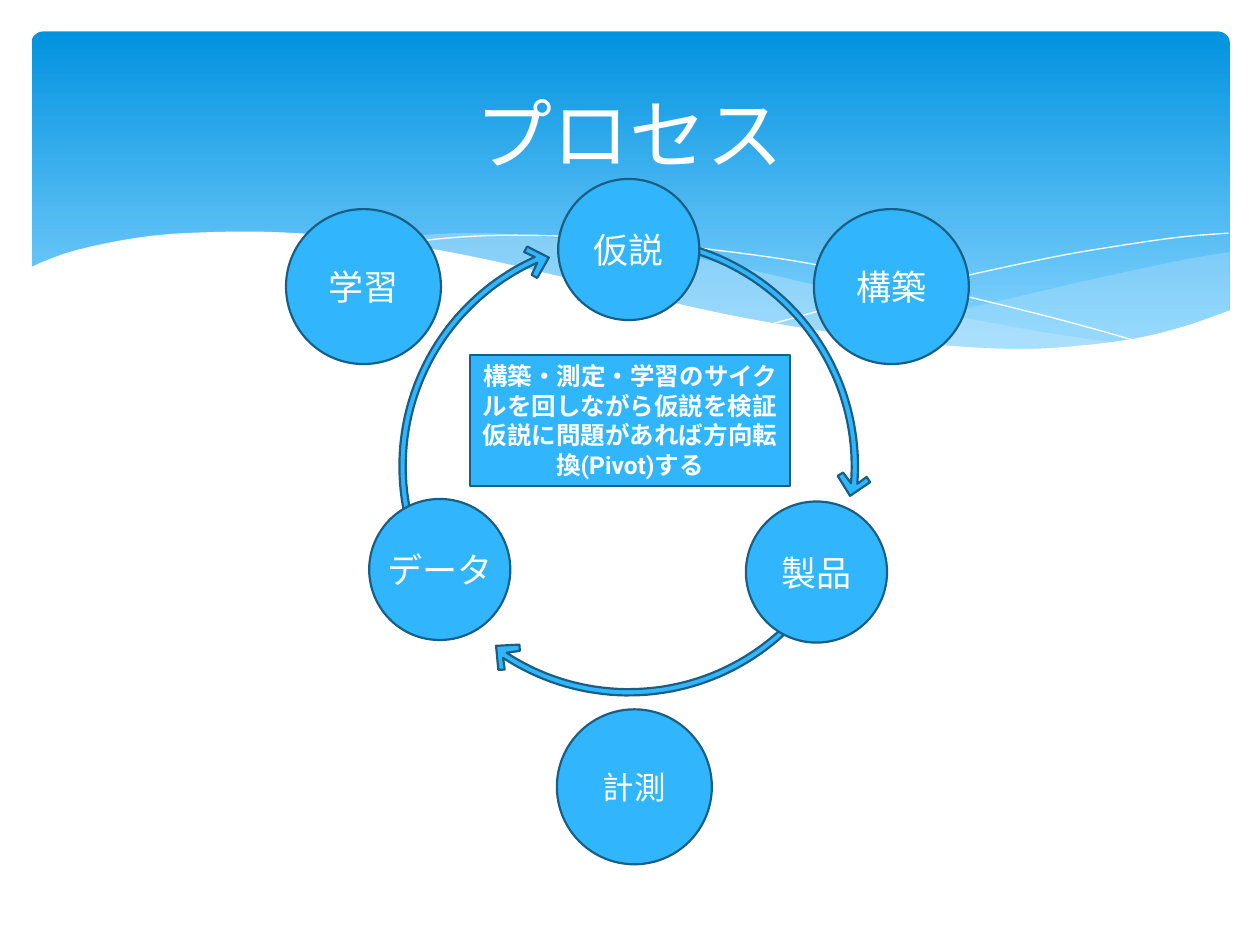
from math import cos, radians, sin

from lxml import etree
from pptx import Presentation
from pptx.dml.color import RGBColor
from pptx.enum.shapes import MSO_SHAPE
from pptx.enum.text import MSO_ANCHOR, MSO_AUTO_SIZE, PP_ALIGN
from pptx.oxml.ns import qn
from pptx.util import Inches, Pt

CENTER = PP_ALIGN.CENTER
MIDDLE = MSO_ANCHOR.MIDDLE
FIT_SHAPE = MSO_AUTO_SIZE.SHAPE_TO_FIT_TEXT
OVAL, RECTANGLE, ROUNDED = MSO_SHAPE.OVAL, MSO_SHAPE.RECTANGLE, MSO_SHAPE.ROUNDED_RECTANGLE
COLORS = {
    name: RGBColor.from_string(value)
    for name, value in {
        "white": "FFFFFF", "sky_top": "0293E0", "sky_bottom": "83D3FE",
        "mist": "C6E7FC", "blue": "31B6FD", "edge": "195F84",
    }.items()
}

deck = Presentation()
deck.slide_width, deck.slide_height = Inches(10), Inches(7.5)
UNIT = deck.slide_width // 10
page = deck.slides.add_slide(deck.slide_layouts[5])
shapes = page.shapes


def smooth_curve(points, steps=6):
    padded = [points[0], *points, points[-1]]
    curve = [points[0]]
    for a, b, c, d in zip(padded, padded[1:], padded[2:], padded[3:]):
        for step in range(1, steps + 1):
            t = step / steps
            curve.append(tuple(
                q + t * (r - p) / 2 + t * t * (2 * p - 5 * q + 4 * r - s) / 2
                + t ** 3 * (3 * q - p - 3 * r + s) / 2
                for p, q, r, s in zip(a, b, c, d)
            ))
    return curve


def add_outline(points, fill=None, line=None, width=0, opacity=100):
    scaled = [(x * UNIT, y * UNIT) for x, y in points]
    builder = shapes.build_freeform(*scaled[0])
    builder.add_line_segments(scaled[1:], close=fill is not None)
    outline = builder.convert_to_shape()
    outline.shadow.inherit = False
    if fill:
        outline.fill.solid()
        outline.fill.fore_color.rgb = COLORS[fill]
        color = outline._element.spPr.find(qn("a:solidFill"))[0]
        etree.SubElement(color, qn("a:alpha"), val=str(opacity * 1000))
    else:
        outline.fill.background()
    if line:
        outline.line.color.rgb = COLORS[line]
        outline.line.width = Pt(width)
    else:
        outline.line.fill.background()


sky = shapes.add_shape(
    ROUNDED, *(round(n * UNIT) for n in (0.25, 0.25, 9.51, 2.7)))
sky.adjustments[0] = 0.034
sky.shadow.inherit = False
sky.line.fill.background()
sky.fill.gradient()
sky.fill.gradient_angle = 270
for stop, name, position in zip(
        sky.fill.gradient_stops, ("sky_top", "sky_bottom"), (0, 0.9)):
    stop.color.rgb = COLORS[name]
    stop.position = position

right_top = [(9.76, 2), (9.35, 2.07), (8.61, 2.23), (7.79, 2.42), (7.06, 2.57), (6.61, 2.65)]
right_bottom = [(6.61, 2.65), (7.05, 2.71), (7.57, 2.76), (8.14, 2.78),
                (8.63, 2.75), (9.05, 2.69), (9.42, 2.59), (9.76, 2.47)]
middle_top = [(8.93, 2.73), (8.37, 2.65), (7.75, 2.54), (7.06, 2.4), (6.29, 2.22),
              (5.69, 2.08), (5.14, 1.98), (4.65, 1.91), (4.2, 1.87), (3.8, 1.85),
              (3.44, 1.86), (2.86, 1.91)]
middle_bottom = [(2.86, 1.91), (3.42, 1.99), (4.04, 2.11), (4.49, 2.22), (5.3, 2.4),
                 (6.01, 2.55), (6.65, 2.66), (7.22, 2.74), (7.73, 2.77),
                 (8.18, 2.78), (8.57, 2.77), (8.93, 2.73)]
long_thread = [(3.09, 1.95), (3.44, 1.9), (3.87, 1.87), (4.33, 1.87), (4.89, 1.9),
               (5.56, 1.97), (6.36, 2.08), (7.27, 2.26), (8.31, 2.51), (9.07, 2.72)]
short_thread = [(6.13, 2.57), (6.72, 2.41), (7.48, 2.23), (8.36, 2.04),
                (8.95, 1.94), (9.38, 1.88), (9.75, 1.85)]
white_wave = [(9.77, 2.46), (9.4, 2.59), (8.99, 2.69), (8.5, 2.75), (8.09, 2.77),
              (7.61, 2.75), (7.08, 2.7), (6.48, 2.62), (5.79, 2.5), (5.03, 2.33),
              (4.47, 2.2), (3.91, 2.07), (3.4, 1.97), (2.92, 1.9), (2.5, 1.86),
              (2.11, 1.84), (1.77, 1.84), (1.32, 1.86), (0.95, 1.91), (0.59, 1.99),
              (0.36, 2.07), (0.23, 2.13)]

add_outline(smooth_curve(right_top) + smooth_curve(right_bottom), "mist", opacity=29)
add_outline(smooth_curve(middle_top) + smooth_curve(middle_bottom), "mist", opacity=40)
for thread in (long_thread, short_thread):
    add_outline(smooth_curve(thread), line="white")
add_outline(smooth_curve(white_wave) + [(0.23, 3.29), (9.77, 3.29)], "white")

title = shapes.title
shapes._spTree.append(title._element)
title.left, title.top, title.width, title.height = (
    round(n * UNIT) for n in (0.5, 0.37, 9, 1.37))
title.text_frame.vertical_anchor = MIDDLE
para = title.text_frame.paragraphs[0]
para.alignment = CENTER
span = para.add_run()
span.text = "プロセス"
span.font.size = Pt(44)
span.font.name = "Cabin"
span.font.color.rgb = COLORS["white"]

hub_x, hub_y = 4.99, 3.7
outer, inner = 1.82, 1.77
arrow_head = [(1.89, -0.06), (1.92, -0.02), (1.77, 0.1), (1.66, -0.05), (1.7, -0.08)]
for start, end in ((32, 123.2), (-90, 4.4), (152, 245.8)):
    angles = [radians(start + (end - start) * step / 48) for step in range(49)]
    tip = angles[-1]
    ring = [[(hub_x + radius * cos(angle), hub_y + radius * sin(angle)) for angle in angles]
            for radius in (outer, inner)]
    head = [(hub_x + out * cos(tip) - along * sin(tip),
             hub_y + out * sin(tip) + along * cos(tip)) for out, along in arrow_head]
    add_outline(ring[0] + head + ring[1][::-1], "blue", "edge", 1.25)

small, large = (1.12, 1.12), (1.23, 1.23)
boxes = [
    (OVAL, 4.43, 1.42, small, 20, ["仮説"]),
    (OVAL, 5.92, 3.98, small, 20, ["製品"]),
    (OVAL, 2.93, 3.96, small, 20, ["データ"]),
    (OVAL, 6.46, 1.66, large, 20, ["構築"]),
    (OVAL, 2.27, 1.66, large, 20, ["学習"]),
    (OVAL, 4.42, 5.63, large, 18, ["計測"]),
    (RECTANGLE, 3.73, 2.82, (2.54, 1.04), 14,
     ["構築・測定・学習のサイクルを回しながら仮説を検証",
      "仮説に問題があれば方向転換(Pivot)する"]),
]
for kind, left, top, size, points, lines in boxes:
    box = shapes.add_shape(kind, *(round(n * UNIT) for n in (left, top, *size)))
    box.shadow.inherit = False
    box.fill.solid()
    box.fill.fore_color.rgb = COLORS["blue"]
    box.line.color.rgb = COLORS["edge"]
    box.line.width = Pt(1.25)
    frame = box.text_frame
    is_note = kind == RECTANGLE
    frame.word_wrap = is_note
    if is_note:
        frame.auto_size = FIT_SHAPE
        frame.vertical_anchor = MSO_ANCHOR.TOP
    else:
        frame.vertical_anchor = MIDDLE
        frame.margin_left = frame.margin_right = frame.margin_top = frame.margin_bottom = 0
    for index, line in enumerate(lines):
        para = frame.add_paragraph() if index else frame.paragraphs[0]
        para.alignment = CENTER
        span = para.add_run()
        span.text = line
        span.font.size = Pt(points)
        span.font.name = "Roboto"
        span.font.bold = is_note
        span.font.color.rgb = COLORS["white"]

deck.save("out.pptx")
